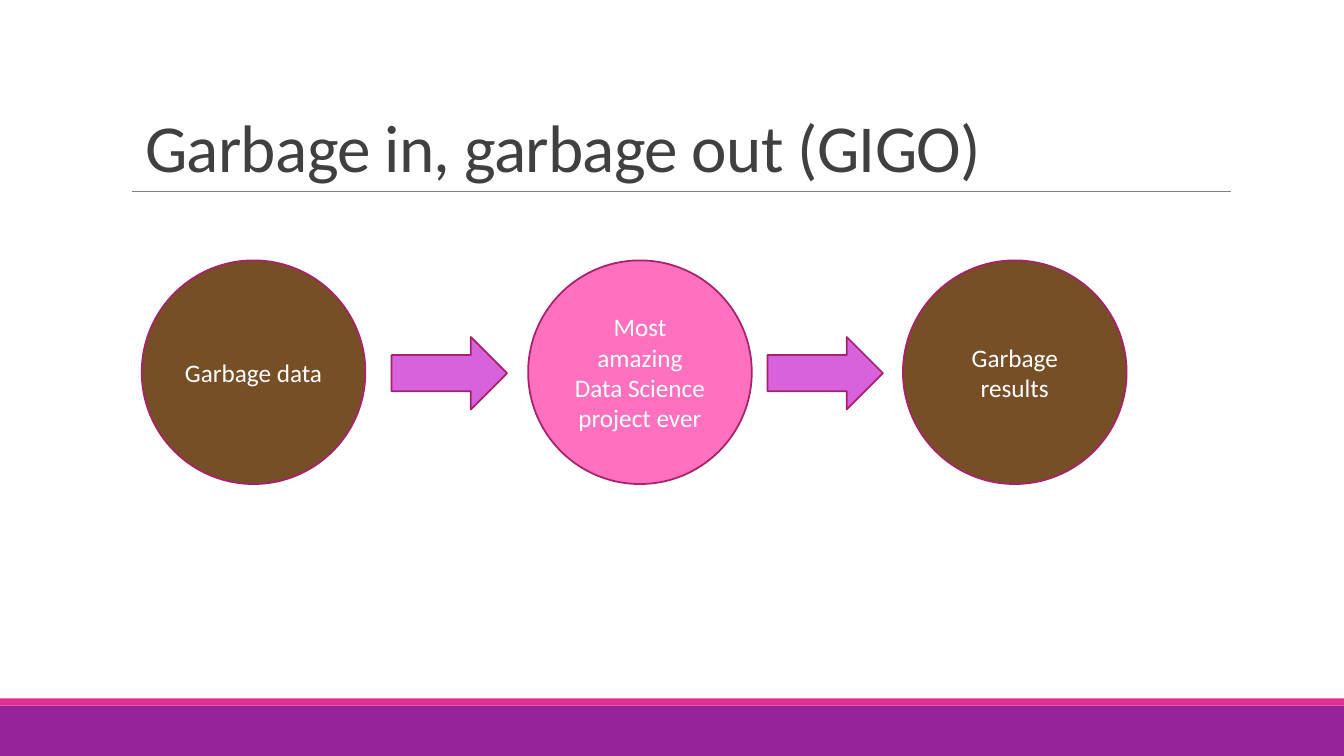
from lxml.etree import SubElement
from pptx import Presentation
from pptx.dml.color import RGBColor
from pptx.enum.shapes import MSO_CONNECTOR, MSO_SHAPE
from pptx.enum.text import MSO_ANCHOR, PP_ALIGN
from pptx.oxml.ns import qn
from pptx.util import Pt

PX = 9525  # 96 px to the inch
WHITE = RGBColor(0xFF, 0xFF, 0xFF)
GREY = RGBColor(0x80, 0x80, 0x80)
DARK = RGBColor(0x40, 0x40, 0x40)
PURPLE = RGBColor(0x96, 0x23, 0x99)
PINK = RGBColor(0xE3, 0x2D, 0x91)
BROWN = RGBColor(0x77, 0x4F, 0x27)
ROSE = RGBColor(0xFF, 0x71, 0xBF)
ORCHID = RGBColor(0xD8, 0x62, 0xDB)
EDGE = RGBColor(0xA8, 0x21, 0x6B)

deck = Presentation()
deck.slide_width, deck.slide_height = 1280 * PX, 720 * PX
slide = deck.slides.add_slide(deck.slide_layouts[6])


def add_block(kind, box, fill, edge=None):
    shape = slide.shapes.add_shape(kind, *(n * PX for n in box))
    shape.shadow.inherit = False
    shape.fill.solid()
    shape.fill.fore_color.rgb = fill
    if edge is None:
        shape.line.fill.background()
    else:
        shape.line.color.rgb = edge
        shape.line.width = Pt(1.25)
    return shape


def add_words(para, text, size, color):
    run = para.add_run()
    run.text = text
    run.font.name = "Calibri"
    run.font.size = Pt(size)
    run.font.color.rgb = color
    return run


# Footer bands and title rule
add_block(MSO_SHAPE.RECTANGLE, (0, 672, 1280, 48), PURPLE)
add_block(MSO_SHAPE.RECTANGLE, (0, 665, 1280, 7), PINK)
rule = slide.shapes.add_connector(
    MSO_CONNECTOR.STRAIGHT, 126 * PX, 182 * PX, 1172 * PX, 182 * PX)
rule.line.color.rgb = GREY
rule.line.width = Pt(0.5)
SubElement(rule._element.spPr, qn("a:effectLst"))

# Title
title = slide.shapes.add_textbox(115 * PX, 30 * PX, 1056 * PX, 152 * PX)
frame = title.text_frame
frame.word_wrap = True
frame.vertical_anchor = MSO_ANCHOR.BOTTOM
para = frame.paragraphs[0]
para.line_spacing = 0.85
run = add_words(para, " Garbage in, garbage out (GIGO) ", 48, DARK)
run.font._element.set("spc", "-50")

# Flow: circles, then the arrows between them
steps = [
    (135, BROWN, "Garbage data"),
    (503, ROSE, "Most amazing Data Science project ever"),
    (860, BROWN, "Garbage results"),
]
for left, fill, text in steps:
    disc = add_block(MSO_SHAPE.OVAL, (left, 248, 213, 213), fill, EDGE)
    frame = disc.text_frame
    frame.word_wrap = True
    frame.vertical_anchor = MSO_ANCHOR.MIDDLE
    para = frame.paragraphs[0]
    para.alignment = PP_ALIGN.CENTER
    add_words(para, text, 18, WHITE)

for left in (373, 731):
    add_block(MSO_SHAPE.RIGHT_ARROW, (left, 321, 110, 69), ORCHID, EDGE)

deck.save("out.pptx")
